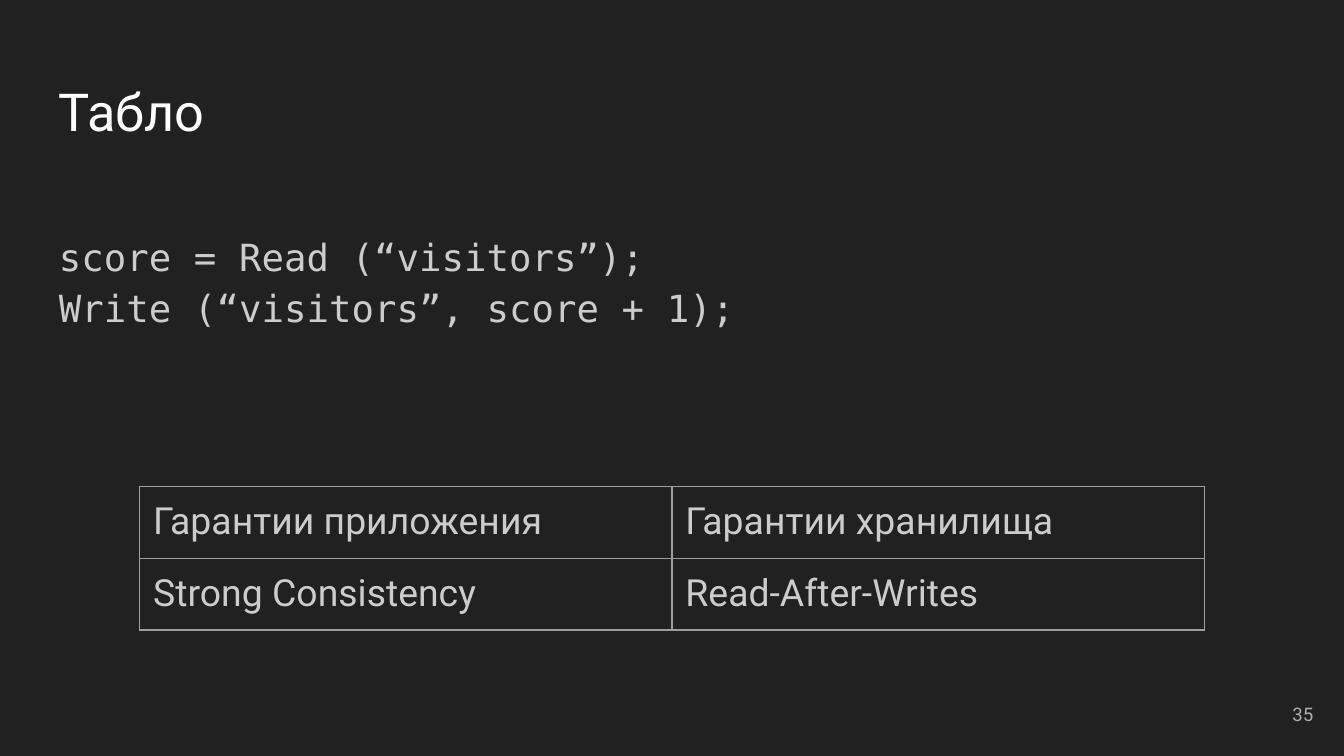
from dataclasses import dataclass

from lxml import etree
from pptx import Presentation
from pptx.dml.color import RGBColor
from pptx.enum import text
from pptx.oxml import ns
from pptx.util import Inches, Pt

COLORS = {
    "background": "212121",
    "title": "FFFFFF",
    "body": "CCCCCC",
    "number": "ADADAD",
    "border": "9E9E9E",
}
INSET = 0.1


@dataclass
class TextStyle:
    size: float
    color: str
    font: str = "Roboto"
    align: text.PP_ALIGN = text.PP_ALIGN.LEFT
    line_spacing: float = 1.0


@dataclass
class TextBlock:
    left: float
    top: float
    width: float
    height: float
    lines: list[str]
    style: TextStyle
    anchor: text.MSO_ANCHOR = text.MSO_ANCHOR.TOP
    inset_top: float = INSET


def style_paragraph(paragraph, style: TextStyle) -> None:
    paragraph.alignment = style.align
    paragraph.line_spacing = style.line_spacing
    paragraph.font.name = style.font
    paragraph.font.size = Pt(style.size)
    paragraph.font.color.rgb = RGBColor.from_string(COLORS[style.color])


def set_insets(target, top: float = INSET) -> None:
    target.margin_left = target.margin_right = target.margin_bottom = Inches(INSET)
    target.margin_top = Inches(top)


def draw_text(slide, block: TextBlock) -> None:
    shape = slide.shapes.add_textbox(
        Inches(block.left), Inches(block.top), Inches(block.width), Inches(block.height)
    )
    frame = shape.text_frame
    frame.word_wrap = True
    frame.vertical_anchor = block.anchor
    set_insets(frame, block.inset_top)
    frame.text = "\n".join(block.lines)
    for paragraph in frame.paragraphs:
        style_paragraph(paragraph, block.style)


def draw_borders(cell, color: str, width: float) -> None:
    properties = cell._tc.get_or_add_tcPr()
    for position, side in enumerate(("lnL", "lnR", "lnT", "lnB")):
        line = etree.Element(ns.qn(f"a:{side}"), w=str(Pt(width)))
        fill = etree.SubElement(line, ns.qn("a:solidFill"))
        etree.SubElement(fill, ns.qn("a:srgbClr"), val=COLORS[color])
        properties.insert(position, line)


def draw_table(slide, left: float, top: float, column_width: float,
               row_height: float, rows: list[list[str]], style: TextStyle) -> None:
    table = slide.shapes.add_table(
        len(rows), len(rows[0]), Inches(left), Inches(top),
        Inches(column_width * len(rows[0])), Inches(row_height * len(rows)),
    ).table
    table.first_row = table.horz_banding = False
    for row_index, row in enumerate(rows):
        for column_index, label in enumerate(row):
            cell = table.cell(row_index, column_index)
            cell.text = label
            cell.fill.background()
            set_insets(cell)
            style_paragraph(cell.text_frame.paragraphs[0], style)
            draw_borders(cell, "border", 0.75)


def main() -> None:
    presentation = Presentation()
    # Widescreen, 16:9
    presentation.slide_width = Inches(10)
    presentation.slide_height = Inches(10 * 9 / 16)
    slide = presentation.slides.add_slide(presentation.slide_layouts[6])
    slide.background.fill.solid()
    slide.background.fill.fore_color.rgb = RGBColor.from_string(COLORS["background"])

    # Title, code and slide number
    blocks = [
        TextBlock(0.34, 0.49, 9.32, 0.63, ["Табло"], TextStyle(28, "title")),
        TextBlock(
            0.34, 1.26, 9.32, 3.74,
            ["score = Read (“visitors”);", "Write (“visitors”, score + 1);"],
            TextStyle(20, "body", "DejaVu Sans Mono", line_spacing=1.15),
            inset_top=0.43,
        ),
        TextBlock(
            9.27, 5.1, 0.6, 0.43, ["35"],
            TextStyle(10, "number", align=text.PP_ALIGN.RIGHT),
            anchor=text.MSO_ANCHOR.MIDDLE,
        ),
    ]
    for block in blocks:
        draw_text(slide, block)

    # Guarantees table; rows grow to fit their text
    guarantees = [
        ["Гарантии приложения", "Гарантии хранилища"],
        ["Strong Consistency", "Read-After-Writes"],
    ]
    draw_table(slide, 1.04, 3.62, 3.96, 0.42, guarantees, TextStyle(20, "body"))

    presentation.save("out.pptx")


if __name__ == "__main__":
    main()
